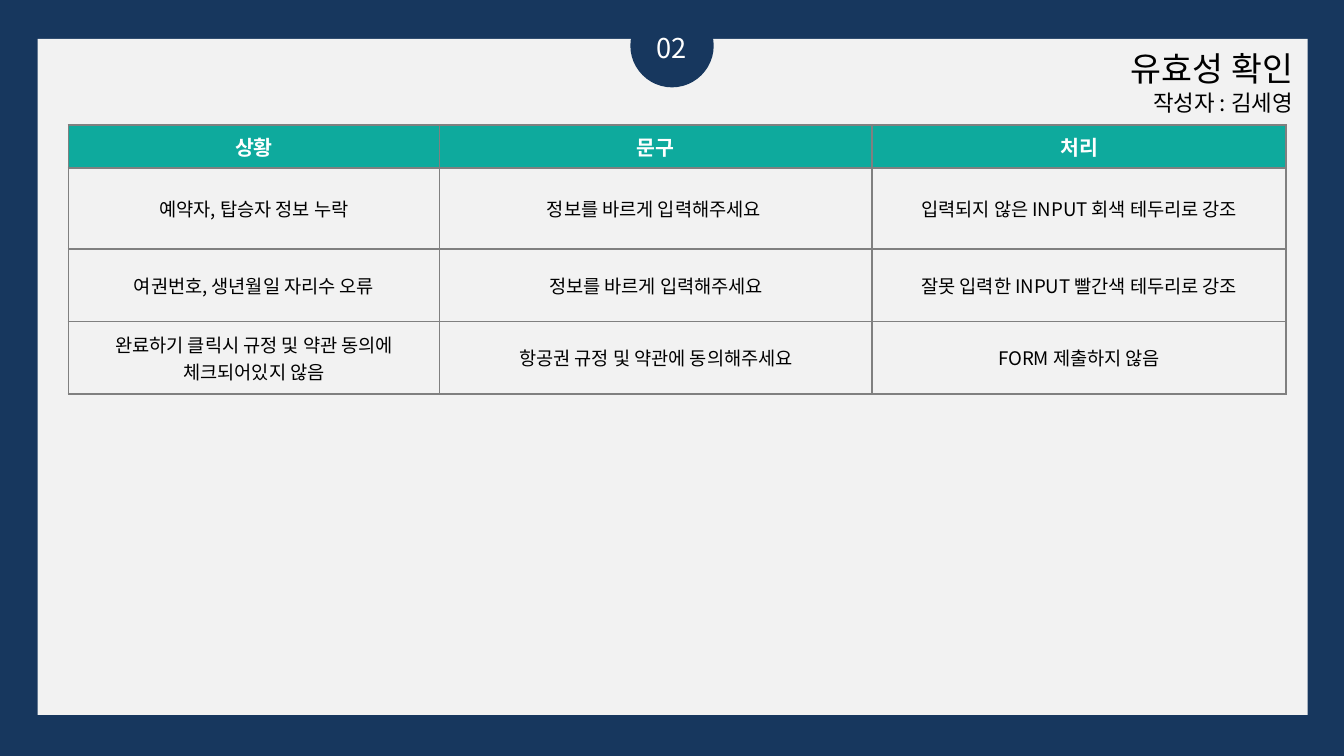
from dataclasses import dataclass

from lxml import etree
from pptx import Presentation
from pptx.dml.color import RGBColor
from pptx.enum import shapes, text
from pptx.oxml import ns
from pptx.util import Inches, Pt

NAVY = RGBColor(0x17, 0x37, 0x5E)
PALE = RGBColor(0xF2, 0xF2, 0xF2)
TEAL = RGBColor(0x0E, 0xAA, 0x9D)
GRAY = RGBColor(0x80, 0x80, 0x80)
WHITE = RGBColor(0xFF, 0xFF, 0xFF)
BLACK = RGBColor(0, 0, 0)
FONT = "Noto Sans CJK KR"
ALIGN = text.PP_ALIGN
ANCHOR = text.MSO_ANCHOR


@dataclass
class Box:
    left: float
    top: float
    width: float
    height: float

    def emu(self) -> list:
        return [Inches(n) for n in (self.left, self.top, self.width, self.height)]


@dataclass
class Style:
    size: float
    color: RGBColor
    align: ALIGN = ALIGN.CENTER
    bold: bool = False


COLS = [2.76, 3.22, 3.08]
ROWS = [0.32, 0.6, 0.54, 0.54]
CELLS = [
    ["상황", "문구", "처리"],
    ["예약자, 탑승자 정보 누락", "정보를 바르게 입력해주세요 ",
     "입력되지 않은 INPUT 회색 테두리로 강조"],
    ["여권번호, 생년월일 자리수 오류", "정보를 바르게 입력해주세요",
     "잘못 입력한 INPUT 빨간색 테두리로 강조"],
    ["완료하기 클릭시 규정 및 약관 동의에 체크되어있지 않음",
     "항공권 규정 및 약관에 동의해주세요", "FORM 제출하지 않음"],
]
HEAD = Style(11, WHITE, bold=True)
BODY = Style(10, BLACK)


def write(para, words: str, style: Style) -> None:
    para.text = words
    para.alignment = style.align
    for run in para.runs:
        font = run.font
        font.name, font.size, font.bold = FONT, Pt(style.size), style.bold
        font.color.rgb = style.color
        # Korean glyphs take the East Asian font, without pair kerning
        asian = etree.Element(ns.qn("a:ea"), typeface=FONT)
        font._element.find(ns.qn("a:latin")).addnext(asian)
        font._element.set("kern", "0")


def draw(slide, kind, box: Box, color: RGBColor) -> None:
    shape = slide.shapes.add_shape(kind, *box.emu())
    shape.shadow.inherit = False
    shape.fill.solid()
    shape.fill.fore_color.rgb = color
    shape.line.fill.background()


def border(cell) -> None:
    props = cell._tc.get_or_add_tcPr()
    for spot, side in enumerate(("lnL", "lnR", "lnT", "lnB")):
        line = etree.Element(ns.qn(f"a:{side}"), w=str(Pt(1)))
        fill = etree.SubElement(line, ns.qn("a:solidFill"))
        etree.SubElement(fill, ns.qn("a:srgbClr"), val=str(GRAY))
        props.insert(spot, line)


def add_grid(slide, box: Box) -> None:
    frame = slide.shapes.add_table(len(ROWS), len(COLS), *box.emu())
    table = frame.table
    table.horz_banding = False
    for col, width in zip(table.columns, COLS):
        col.width = Inches(width)
    for num, (row, height) in enumerate(zip(table.rows, ROWS)):
        row.height = Inches(height)
        for cell, words in zip(row.cells, CELLS[num]):
            write(cell.text_frame.paragraphs[0], words, BODY if num else HEAD)
            if num:
                cell.vertical_anchor = ANCHOR.MIDDLE
                cell.fill.background()
            else:
                cell.fill.solid()
                cell.fill.fore_color.rgb = TEAL
            border(cell)


def add_title(slide, box: Box) -> None:
    title = slide.shapes.title
    title.left, title.top, title.width, title.height = box.emu()
    frame = title.text_frame
    frame.word_wrap = True
    frame.auto_size = text.MSO_AUTO_SIZE.NONE
    frame.vertical_anchor = ANCHOR.TOP
    write(frame.paragraphs[0], "유효성 확인", Style(18, BLACK, ALIGN.RIGHT))
    write(frame.add_paragraph(), "작성자 : 김세영", Style(12, BLACK, ALIGN.RIGHT))
    # Bring the title in front of the panel
    slide.shapes._spTree.append(title._element)


def main() -> None:
    deck = Presentation()
    # A 16:9 page
    deck.slide_width, deck.slide_height = Inches(10), Inches(10 * 9 / 16)
    slide = deck.slides.add_slide(deck.slide_layouts[5])

    # Backdrop, panel and number badge
    slide.background.fill.solid()
    slide.background.fill.fore_color.rgb = NAVY
    kinds = shapes.MSO_SHAPE
    draw(slide, kinds.RECTANGLE, Box(0.28, 0.29, 9.45, 5.03), PALE)
    draw(slide, kinds.OVAL, Box(4.69, 0.03, 0.62, 0.62), NAVY)
    label = slide.shapes.add_textbox(*Box(4.64, 0.18, 0.72, 0.35).emu())
    label.text_frame.word_wrap = True
    write(label.text_frame.paragraphs[0], "02", Style(14.6, WHITE))

    # Title and table
    add_title(slide, Box(7.52, 0.31, 2.2, 0.61))
    add_grid(slide, Box(0.51, 0.93, sum(COLS), sum(ROWS)))
    deck.save("out.pptx")


if __name__ == "__main__":
    main()
